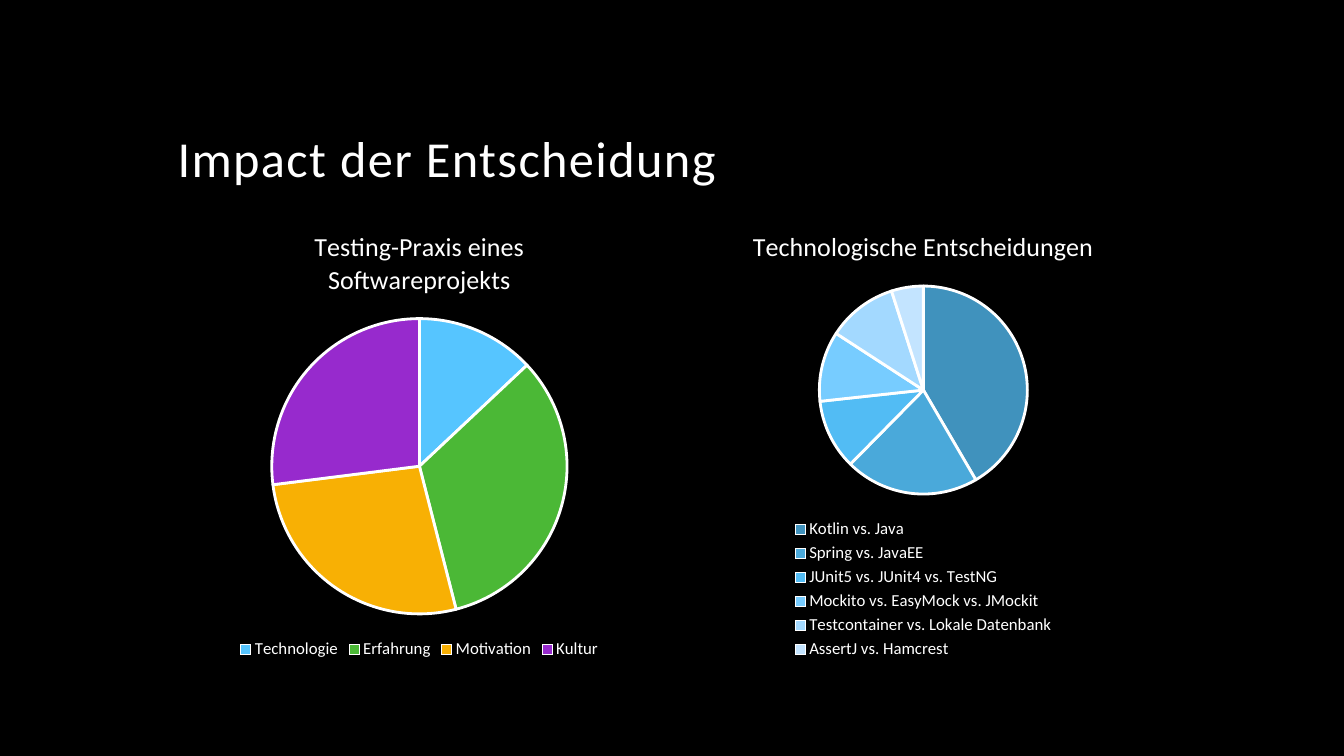
import pptx
import pptx.chart.data
import pptx.dml.color
import pptx.enum.chart
import pptx.enum.text
import pptx.util

Cm = pptx.util.Cm
Pt = pptx.util.Pt

COLORS = {
    "background": "000000",
    "text": "FFFFFF",
    "slice border": "FFFFFF",
    "Technologie": "56C5FF",
    "Erfahrung": "4BB836",
    "Motivation": "F8B004",
    "Kultur": "972ACD",
    "Kotlin vs. Java": "4092BD",
    "Spring vs. JavaEE": "4AA9DA",
    "JUnit5 vs. JUnit4 vs. TestNG": "52BCF4",
    "Mockito vs. EasyMock vs. JMockit": "77CCFF",
    "Testcontainer vs. Lokale Datenbank": "A3D9FF",
    "AssertJ vs. Hamcrest": "C3E4FF",
}
FONT = "Calibri"
LEFT = 4.22
CHART_WIDTH = 12.7

PIES = [
    ("Testing-Praxis eines Softwareprojekts", {
        "Technologie": 13,
        "Erfahrung": 33,
        "Motivation": 27,
        "Kultur": 27,
    }),
    ("Technologische Entscheidungen", {
        "Kotlin vs. Java": 42,
        "Spring vs. JavaEE": 21,
        "JUnit5 vs. JUnit4 vs. TestNG": 11,
        "Mockito vs. EasyMock vs. JMockit": 11,
        "Testcontainer vs. Lokale Datenbank": 11,
        "AssertJ vs. Hamcrest": 5,
    }),
]


def color(name):
    return pptx.dml.color.RGBColor.from_string(COLORS[name])


def style_font(font, size):
    font.name = FONT
    font.size = Pt(size)
    font.bold = False
    font.color.rgb = color("text")


presentation = pptx.Presentation()
presentation.slide_width = Cm(33.87)
presentation.slide_height = Cm(19.05)
slide = presentation.slides.add_slide(presentation.slide_layouts[5])
slide.background.fill.solid()
slide.background.fill.fore_color.rgb = color("background")

# Title
title = slide.shapes.title
title.left, title.top = Cm(LEFT), Cm(1.07)
title.width, title.height = Cm(25.4), Cm(3.81)
title.text_frame.text = "Impact der Entscheidung"
title.text_frame.vertical_anchor = pptx.enum.text.MSO_ANCHOR.BOTTOM
paragraph = title.text_frame.paragraphs[0]
paragraph.alignment = pptx.enum.text.PP_ALIGN.LEFT
paragraph.line_spacing = 0.9
run = paragraph.runs[0]
style_font(run.font, 36)
run.font._element.set("spc", "100")

# Two pie charts side by side
for index, (heading, shares) in enumerate(PIES):
    chart_data = pptx.chart.data.CategoryChartData()
    chart_data.categories = list(shares)
    chart_data.add_series(heading, list(shares.values()))
    chart = slide.shapes.add_chart(
        pptx.enum.chart.XL_CHART_TYPE.PIE,
        Cm(LEFT + index * CHART_WIDTH), Cm(5.28), Cm(CHART_WIDTH), Cm(11.43),
        chart_data,
    ).chart
    style_font(chart.font, 10)

    chart.has_title = True
    chart.chart_title.include_in_layout = False
    chart.chart_title.text_frame.text = heading
    style_font(chart.chart_title.text_frame.paragraphs[0].runs[0].font, 18.6)

    chart.has_legend = True
    chart.legend.position = pptx.enum.chart.XL_LEGEND_POSITION.BOTTOM
    chart.legend.include_in_layout = False
    style_font(chart.legend.font, 12)

    plot = chart.plots[0]
    plot.vary_by_categories = True
    for slice_index, category in enumerate(shares):
        slice_format = plot.series[0].points[slice_index].format
        slice_format.fill.solid()
        slice_format.fill.fore_color.rgb = color(category)
        slice_format.line.color.rgb = color("slice border")
        slice_format.line.width = Pt(2)

presentation.save("out.pptx")
